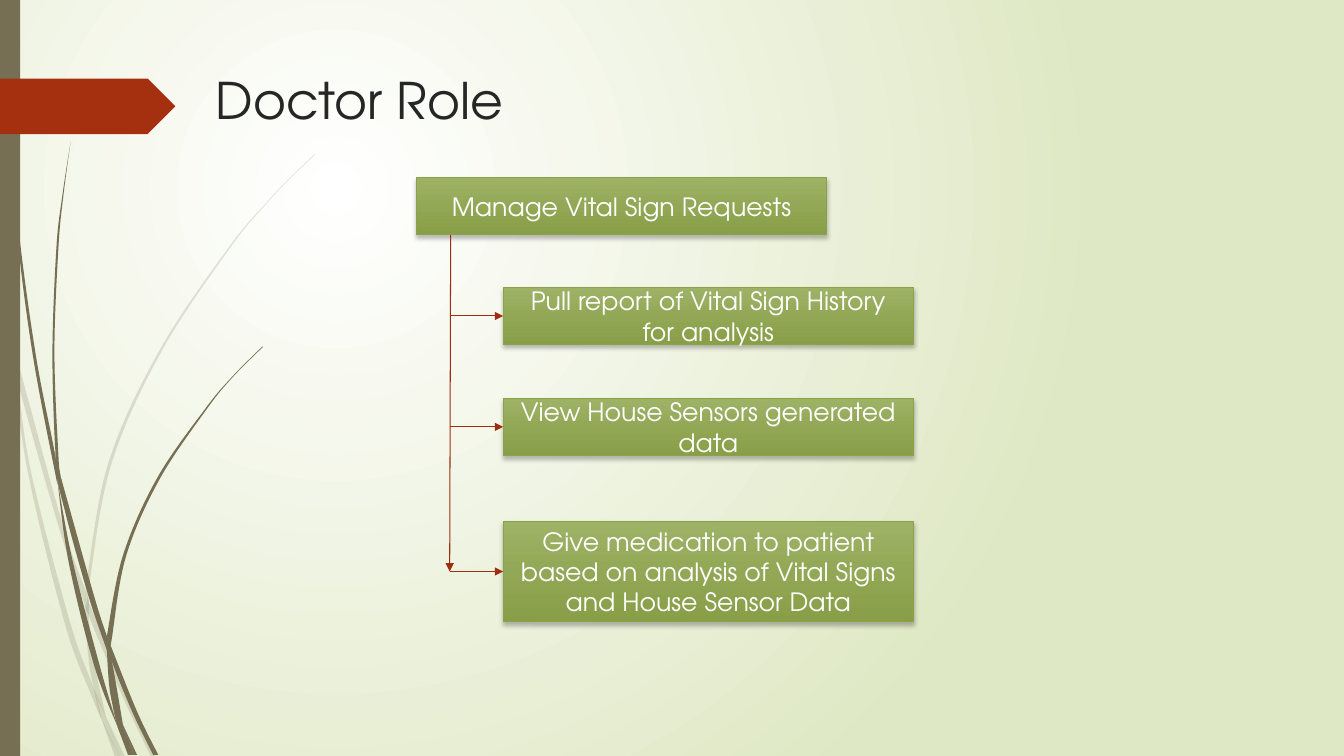
from dataclasses import dataclass

from lxml import etree
from pptx import Presentation
from pptx.dml.color import RGBColor
from pptx.enum import shapes, text
from pptx.oxml import ns
from pptx.util import Inches, Pt

Point = tuple[float, float]


@dataclass(frozen=True)
class Theme:
    font: str = "TeX Gyre Adventor"
    title_size: float = 36
    task_size: float = 18
    line_width: float = 0.75
    title: str = "262626"
    task_text: str = "FFFFFF"
    task_top: str = "9DB265"
    task_bottom: str = "889E47"
    task_border: str = "8BA249"
    arrow: str = "9E2E0F"
    tab: str = "A53010"
    stalk: str = "766F54"
    shadow: str = "000000"
    glow: str = "FFFFFF"
    backdrop: str = "DFE8C4"


@dataclass(frozen=True)
class Task:
    label: str
    left: float
    top: float
    height: float = 0.57
    width: float = 4.07

    @property
    def middle(self) -> float:
        return self.top + self.height / 2


@dataclass(frozen=True)
class Blade:
    """A piece of a grass stalk between two edges, both listed from tip to root."""
    left_edge: list[Point]
    right_edge: list[Point]


THEME = Theme()
ROLE_TASK = Task("Manage Vital Sign Requests", 4.13, 1.76)
STEPS = [
    Task("Pull report of Vital Sign History for analysis", 4.99, 2.85),
    Task("View House Sensors generated data", 4.99, 3.95),
    Task("Give medication to patient based on analysis of Vital Signs and House Sensor Data",
         4.99, 5.17, 1),
]
TRUNK_X = 4.46
FAINT_BLADES = [
    Blade([(0, 2.99), (0.1, 3.44), (0.11, 3.5)], [(0, 2.82), (0.09, 3.22), (0.11, 3.5)]),
    Blade([(0.14, 3.45), (0.17, 3.76), (0.58, 5.22), (0.84, 5.99)],
          [(0.14, 3.45), (0.62, 5.2), (0.85, 5.86)]),
    Blade([(0.88, 5.96), (0.88, 6.1), (1.23, 6.94), (1.5, 7.51)],
          [(0.88, 5.96), (0.92, 6.07), (1.27, 6.92), (1.55, 7.51)]),
    Blade([(1.05, 7.11), (1.19, 7.51)], [(1.05, 7.11), (1.24, 7.51)]),
    Blade([(0.11, 3.5), (0.28, 4.7), (0.65, 6.21), (0.92, 6.93), (1.01, 7.14)],
          [(0.11, 3.5), (0.17, 3.76), (0.31, 4.69), (0.7, 6.19), (0.93, 6.83), (1.01, 7.14)]),
    Blade([(0.84, 5.99), (0.87, 6.46), (0.93, 6.83), (1.05, 7.11)],
          [(0.84, 5.99), (0.88, 6.1), (0.91, 6.46), (1.05, 7.11)]),
    Blade([(3.12, 1.53), (2.89, 1.75), (2.68, 1.97), (2.28, 2.44), (1.58, 3.48), (1.07, 4.61),
           (0.85, 5.84)],
          [(3.12, 1.54), (2.9, 1.75), (2.68, 1.98), (2.29, 2.45), (1.6, 3.49), (1.1, 4.62),
           (0.88, 5.84), (0.88, 5.96)]),
    Blade([(1.01, 7.14), (1.14, 7.51)], [(1.01, 7.14), (1.19, 7.51)]),
    Blade([(0.85, 5.86), (0.84, 5.99), (0.88, 6.1)], [(0.85, 5.86), (0.88, 5.96), (0.88, 6.1)]),
    Blade([(0.93, 6.83), (1.01, 7.14), (1.19, 7.51)], [(0.93, 6.83), (1.05, 7.11), (1.19, 7.51)]),
]
DARK_BLADES = [
    Blade([(0.03, 0), (0.07, 1.1), (0.17, 2.33), (0.33, 3.55), (0.57, 4.81)],
          [(0.04, 0), (0.08, 1.09), (0.19, 2.32), (0.36, 3.55), (0.55, 4.53), (0.57, 4.81)]),
    Blade([(0.6, 4.72), (0.64, 5.05), (0.88, 5.92), (1.06, 6.45)],
          [(0.6, 4.72), (0.93, 5.9), (1.06, 6.31)]),
    Blade([(1.1, 6.41), (1.11, 6.56), (1.32, 7.08), (1.52, 7.49)],
          [(1.1, 6.41), (1.36, 7.06), (1.57, 7.49)]),
    Blade([(0.57, 4.77), (0.68, 5.57), (0.93, 6.59), (1.17, 7.22)],
          [(0.57, 4.77), (0.72, 5.56), (0.98, 6.57), (1.17, 7.22)]),
    Blade([(0.7, 1.41), (0.62, 1.93), (0.56, 2.45), (0.52, 3.49), (0.55, 4.49), (0.6, 4.72)],
          [(0.7, 1.41), (0.63, 1.93), (0.58, 2.45), (0.54, 3.49), (0.58, 4.53), (0.6, 4.72)]),
    Blade([(1.22, 7.19), (1.33, 7.49)], [(1.22, 7.19), (1.36, 7.49)]),
    Blade([(0.55, 4.49), (0.57, 4.77), (0.64, 5.05)], [(0.55, 4.49), (0.6, 4.72), (0.64, 5.05)]),
    Blade([(2.6, 3.44), (2.31, 3.73), (2.04, 4.05), (1.56, 4.74), (1.22, 5.51), (1.06, 6.31)],
          [(2.61, 3.44), (2.31, 3.74), (2.05, 4.06), (1.58, 4.76), (1.25, 5.52), (1.11, 6.33),
           (1.1, 6.41)]),
    Blade([(1.17, 7.22), (1.27, 7.49)], [(1.17, 7.22), (1.31, 7.49)]),
    Blade([(1.06, 6.45), (1.1, 6.91), (1.22, 7.19)], [(1.06, 6.45), (1.11, 6.56), (1.22, 7.19)]),
    Blade([(1.06, 6.31), (1.06, 6.45), (1.11, 6.56)], [(1.06, 6.31), (1.1, 6.41), (1.11, 6.56)]),
    Blade([(1.1, 6.91), (1.17, 7.22), (1.3, 7.49)], [(1.1, 6.91), (1.22, 7.19), (1.33, 7.49)]),
]


def rgb(value: str) -> RGBColor:
    return RGBColor.from_string(value)


def add_xml(parent, tag: str, **attributes):
    return etree.SubElement(parent, ns.qn(tag), {k: str(v) for k, v in attributes.items()})


def set_gradient(fill, first: str, last: str) -> None:
    fill.gradient()
    for stop, color in zip(fill.gradient_stops, (first, last)):
        stop.color.rgb = rgb(color)


def paint_background(slide) -> None:
    set_gradient(slide.background.fill, THEME.glow, THEME.backdrop)
    gradient = slide.element.find(".//" + ns.qn("a:gradFill"))
    gradient.remove(gradient.find(ns.qn("a:lin")))
    circle = add_xml(gradient, "a:path", path="circle")
    add_xml(circle, "a:fillToRect", l=25000, t=25000, r=75000, b=75000)


def fill_plain(shape, color: str) -> None:
    shape.shadow.inherit = False
    shape.fill.solid()
    shape.fill.fore_color.rgb = rgb(color)
    shape.line.fill.background()


def bend_edge(segments, anchors: list[Point]) -> None:
    """Turn the straight segments between the anchors into one smooth curve."""
    padded = [anchors[0], *anchors, anchors[-1]]
    for segment, a, b, c, d in zip(segments, padded, padded[1:], padded[2:], padded[3:]):
        segment.tag = ns.qn("a:cubicBezTo")
        handles = ([q + (r - p) / 6 for p, q, r in zip(a, b, c)],
                   [q - (r - p) / 6 for p, q, r in zip(b, c, d)])
        for place, (x, y) in enumerate(handles):
            point = add_xml(segment, "a:pt", x=round(x), y=round(y))
            segment.insert(place, point)


def draw_blade(slide, blade: Blade, opacity: int) -> None:
    outline = [(Inches(x), Inches(y)) for x, y in blade.left_edge + blade.right_edge[::-1]]
    builder = slide.shapes.build_freeform(*outline[0])
    builder.add_line_segments(outline[1:], close=True)
    shape = builder.convert_to_shape()
    segments = list(shape.element.iter(ns.qn("a:lnTo")))
    anchors = [(x - shape.left, y - shape.top) for x, y in outline]
    turn = len(blade.left_edge)
    bend_edge(segments[:turn - 1], anchors[:turn])
    bend_edge(segments[turn:], anchors[turn:])
    fill_plain(shape, THEME.stalk)
    color = shape.element.spPr.find(".//" + ns.qn("a:srgbClr"))
    add_xml(color, "a:alpha", val=opacity * 1000)


def draw_plain(slide, kind, left: float, top: float, width: float, height: float,
               color: str) -> None:
    shape = slide.shapes.add_shape(kind, *map(Inches, (left, top, width, height)))
    fill_plain(shape, color)


def write(frame, words: str, size: float, color: str, alignment, anchor) -> None:
    frame.vertical_anchor = anchor
    frame.paragraphs[0].alignment = alignment
    run = frame.paragraphs[0].add_run()
    run.text = words
    run.font.name, run.font.size = THEME.font, Pt(size)
    run.font.color.rgb = rgb(color)


def write_title(slide, words: str) -> None:
    title = slide.shapes.title
    title.left, title.top, title.width, title.height = map(Inches, (2.04, 0.64, 9.75, 1.4))
    title.text_frame.auto_size = text.MSO_AUTO_SIZE.NONE
    write(title.text_frame, words, THEME.title_size, THEME.title,
          text.PP_ALIGN.LEFT, text.MSO_ANCHOR.TOP)


def draw_task(slide, task: Task) -> None:
    box = slide.shapes.add_shape(shapes.MSO_SHAPE.RECTANGLE, *map(
        Inches, (task.left, task.top, task.width, task.height)))
    set_gradient(box.fill, THEME.task_top, THEME.task_bottom)
    box.fill.gradient_angle = 270
    box.line.color.rgb, box.line.width = rgb(THEME.task_border), Pt(THEME.line_width)
    box.shadow.inherit = False
    shadow = add_xml(box.element.spPr.find(ns.qn("a:effectLst")), "a:outerShdw",
                     blurRad=Pt(3), dist=Pt(2), dir=5400000, rotWithShape=0)
    add_xml(add_xml(shadow, "a:srgbClr", val=THEME.shadow), "a:alpha", val=25000)
    write(box.text_frame, task.label, THEME.task_size, THEME.task_text,
          text.PP_ALIGN.CENTER, text.MSO_ANCHOR.MIDDLE)


def draw_arrow(slide, start: Point, end: Point) -> None:
    arrow = slide.shapes.add_connector(
        shapes.MSO_CONNECTOR.STRAIGHT, *map(Inches, (*start, *end)))
    arrow.line.color.rgb, arrow.line.width = rgb(THEME.arrow), Pt(THEME.line_width)
    add_xml(arrow.element.spPr.find(ns.qn("a:ln")), "a:tailEnd", type="triangle")
    add_xml(arrow.element.spPr, "a:effectLst")


def main() -> None:
    deck = Presentation()
    deck.slide_width, deck.slide_height = Inches(13.33), Inches(7.5)
    slide = deck.slides.add_slide(deck.slide_layouts[5])
    paint_background(slide)
    for blades, opacity in ((FAINT_BLADES, 20), (DARK_BLADES, 100)):
        for blade in blades:
            draw_blade(slide, blade, opacity)
    draw_plain(slide, shapes.MSO_SHAPE.RECTANGLE, 0, 0, 0.2, 7.5, THEME.stalk)
    draw_plain(slide, shapes.MSO_SHAPE.PENTAGON, 0, 0.78, 1.74, 0.55, THEME.tab)
    write_title(slide, "Doctor Role")
    for task in (ROLE_TASK, *STEPS):
        draw_task(slide, task)
    draw_arrow(slide, (TRUNK_X + 0.01, ROLE_TASK.top + ROLE_TASK.height),
               (TRUNK_X, STEPS[-1].middle))
    for step in STEPS:
        draw_arrow(slide, (TRUNK_X, step.middle), (step.left, step.middle))
    deck.save("out.pptx")


if __name__ == "__main__":
    main()
